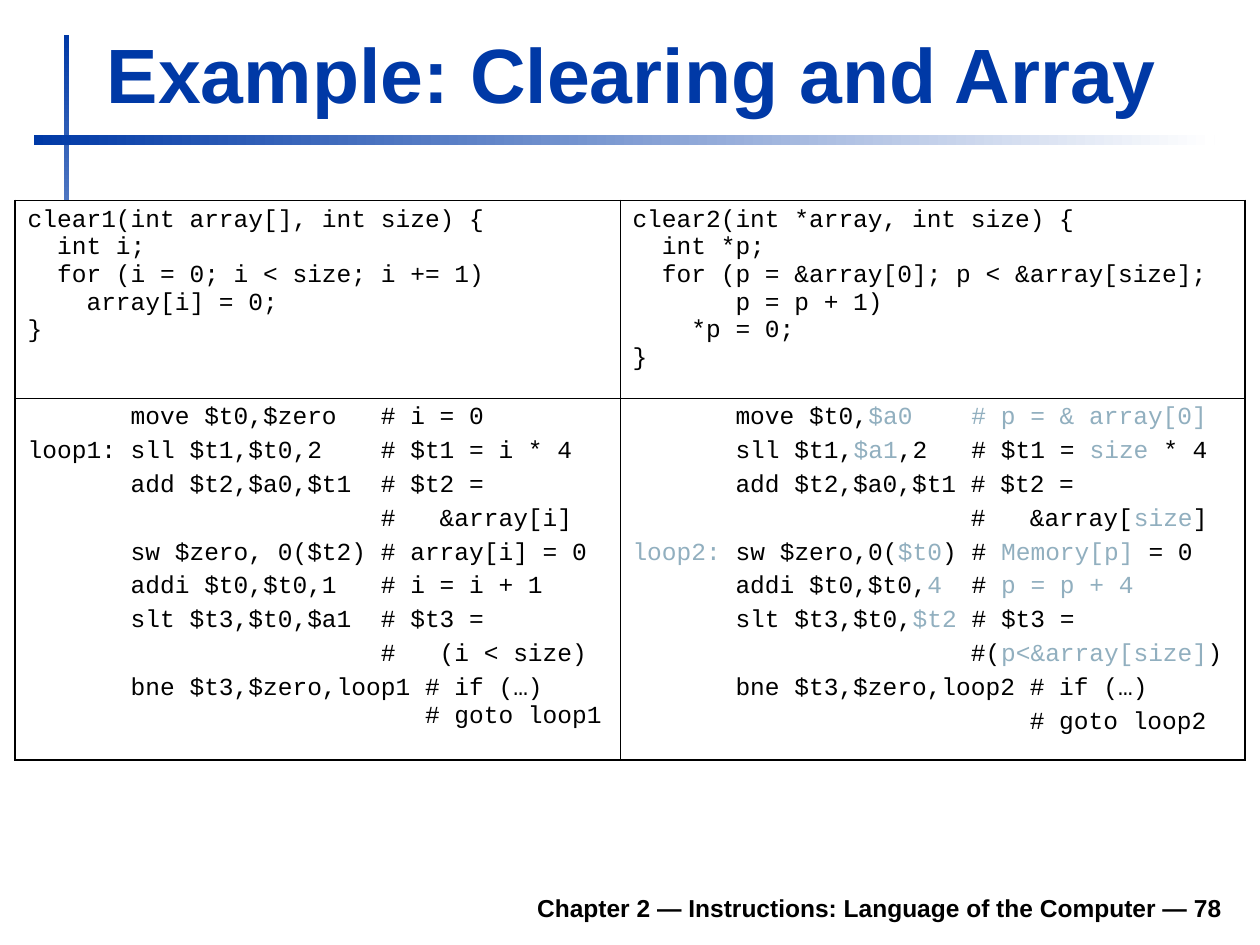
"""Build the array-clearing slide that compares index and pointer code."""
from copy import deepcopy
from dataclasses import dataclass

from lxml import etree
from pptx import Presentation
from pptx.dml.color import RGBColor
from pptx.enum.shapes import MSO_SHAPE
from pptx.enum.text import MSO_ANCHOR, PP_ALIGN
from pptx.oxml.ns import qn
from pptx.util import Pt

RECT = MSO_SHAPE.RECTANGLE
BOTTOM = MSO_ANCHOR.BOTTOM
LEFT, RIGHT = PP_ALIGN.LEFT, PP_ALIGN.RIGHT
BLUE, BLACK, WHITE, ACCENT = "0039A6", "000000", "FFFFFF", "91AFBF"
OUTER, INNER = 1.08, 0.45
COL_WIDTHS = (345.6, 357.12)
ROW_HEIGHTS = (113.04, 206.64)
ROW_SPACING = (0, 3.5)

C_INDEX = """\
clear1(int array[], int size) {
  int i;
  for (i = 0; i < size; i += 1)
    array[i] = 0;
}"""

C_POINTER = """\
clear2(int *array, int size) {
  int *p;
  for (p = &array[0]; p < &array[size];
       p = p + 1)
    *p = 0;
}"""

ASM_INDEX = """\
       move $t0,$zero   # i = 0
loop1: sll $t1,$t0,2    # $t1 = i * 4
       add $t2,$a0,$t1  # $t2 =
                        #   &array[i]
       sw $zero, 0($t2) # array[i] = 0
       addi $t0,$t0,1   # i = i + 1
       slt $t3,$t0,$a1  # $t3 =
                        #   (i < size)
       bne $t3,$zero,loop1 # if (…)\v                           # goto loop1"""

ASM_POINTER = """\
       move $t0,|$a0    # p = & array[0]|
       sll $t1,|$a1|,2   # $t1 = |size| * 4
       add $t2,$a0,$t1 # $t2 =
                       #   &array[|size|]
|loop2:| sw $zero,0(|$t0|) # |Memory[p]| = 0
       addi $t0,$t0,|4|  # |p = p + 4|
       slt $t3,$t0,|$t2| # $t3 =
                       #(|p<&array[size]|)
       bne $t3,$zero,loop2 # if (…)
                           # goto loop2"""

LISTINGS = ((C_INDEX, C_POINTER), (ASM_INDEX, ASM_POINTER))


@dataclass
class Bar:
    """A gradient rule, in points."""
    x: float
    y: float
    w: float
    h: float
    angle: float


@dataclass
class Label:
    """A bold line of text in a box, in points."""
    text: str
    x: float
    y: float
    w: float
    h: float
    size: float
    color: str
    align: PP_ALIGN


BARS = (
    Bar(36.72, 20.16, 2.88, 300.24, 270),
    Bar(19.44, 77.04, 674.64, 5.76, 0),
)
LABELS = (
    Label("Chapter 2 — Instructions: Language of the Computer — 78",
          133.2, 502.56, 572.4, 28.08, 14, BLACK, RIGHT),
    Label("Example: Clearing and Array", 54, 11.52, 650.16, 59.76, 44, BLUE, LEFT),
)


def rgb(value: str) -> RGBColor:
    """Turn a hex string into a colour."""
    return RGBColor.from_string(value)


def style_run(r, font: str, size: float, color: str, bold: bool = False) -> None:
    """Set the font of a run."""
    r.font.name = font
    r.font.size = Pt(size)
    r.font.bold = bold
    r.font.color.rgb = rgb(color)


def add_bar(s, bar: Bar) -> None:
    """Draw a rule that fades from blue to white."""
    sp = s.shapes.add_shape(RECT, Pt(bar.x), Pt(bar.y), Pt(bar.w), Pt(bar.h))
    sp.shadow.inherit = False
    sp.line.fill.background()
    sp.fill.gradient()
    sp.fill.gradient_angle = bar.angle
    for stop, color in zip(sp.fill.gradient_stops, (BLUE, WHITE)):
        stop.color.rgb = rgb(color)


def add_label(s, label: Label) -> None:
    """Draw a bottom-anchored bold label."""
    sp = s.shapes.add_textbox(Pt(label.x), Pt(label.y), Pt(label.w), Pt(label.h))
    tf = sp.text_frame
    tf.word_wrap = True
    tf.vertical_anchor = BOTTOM
    tf.text = label.text
    p = tf.paragraphs[0]
    p.alignment = label.align
    style_run(p.runs[0], "Arial", label.size, label.color, True)


def write_code(tf, code: str, spacing: float) -> None:
    """Write code lines, with the parts between bars in the accent colour."""
    tf.text = code.replace("|", "")
    for p, line in zip(tf.paragraphs, code.split("\n")):
        p.space_before = Pt(spacing)
        if "|" in line:
            p.clear()
            for i, part in enumerate(line.split("|")):
                if part:
                    r = p.add_run()
                    r.text = part
                    style_run(r, "Courier New", 14, ACCENT if i % 2 else BLACK)
        else:
            for r in p.runs:
                style_run(r, "Courier New", 14, BLACK)
        for br in p._p.findall(qn("a:br")):
            br.append(deepcopy(p.runs[0].font._element))


def set_borders(cell, row: int, col: int) -> None:
    """Give a cell heavy outer and light inner borders."""
    outer = {"a:lnL": col == 0, "a:lnR": col == 1, "a:lnT": row == 0, "a:lnB": row == 1}
    tc_pr = cell._tc.get_or_add_tcPr()
    for i, (tag, is_outer) in enumerate(outer.items()):
        ln = etree.Element(qn(tag), w=str(Pt(OUTER if is_outer else INNER)))
        fill = etree.SubElement(ln, qn("a:solidFill"))
        etree.SubElement(fill, qn("a:srgbClr"), val=BLACK)
        tc_pr.insert(i, ln)


def add_code_table(s) -> None:
    """Draw the two-by-two table of code listings."""
    table = s.shapes.add_table(2, 2, Pt(8.64), Pt(114.48), Pt(sum(COL_WIDTHS)),
                               Pt(sum(ROW_HEIGHTS))).table
    table.first_row = table.horz_banding = False
    for column, width in zip(table.columns, COL_WIDTHS):
        column.width = Pt(width)
    for i, listings in enumerate(LISTINGS):
        table.rows[i].height = Pt(ROW_HEIGHTS[i])
        for j, code in enumerate(listings):
            cell = table.cell(i, j)
            cell.fill.solid()
            cell.fill.fore_color.rgb = rgb(WHITE)
            set_borders(cell, i, j)
            write_code(cell.text_frame, code, ROW_SPACING[i])


def main() -> None:
    """Build and save the slide."""
    prs = Presentation()
    prs.slide_width, prs.slide_height = Pt(720), Pt(540)
    s = prs.slides.add_slide(prs.slide_layouts[6])
    for bar in BARS:
        add_bar(s, bar)
    for label in LABELS:
        add_label(s, label)
    add_code_table(s)
    prs.save("out.pptx")


if __name__ == "__main__":
    main()
